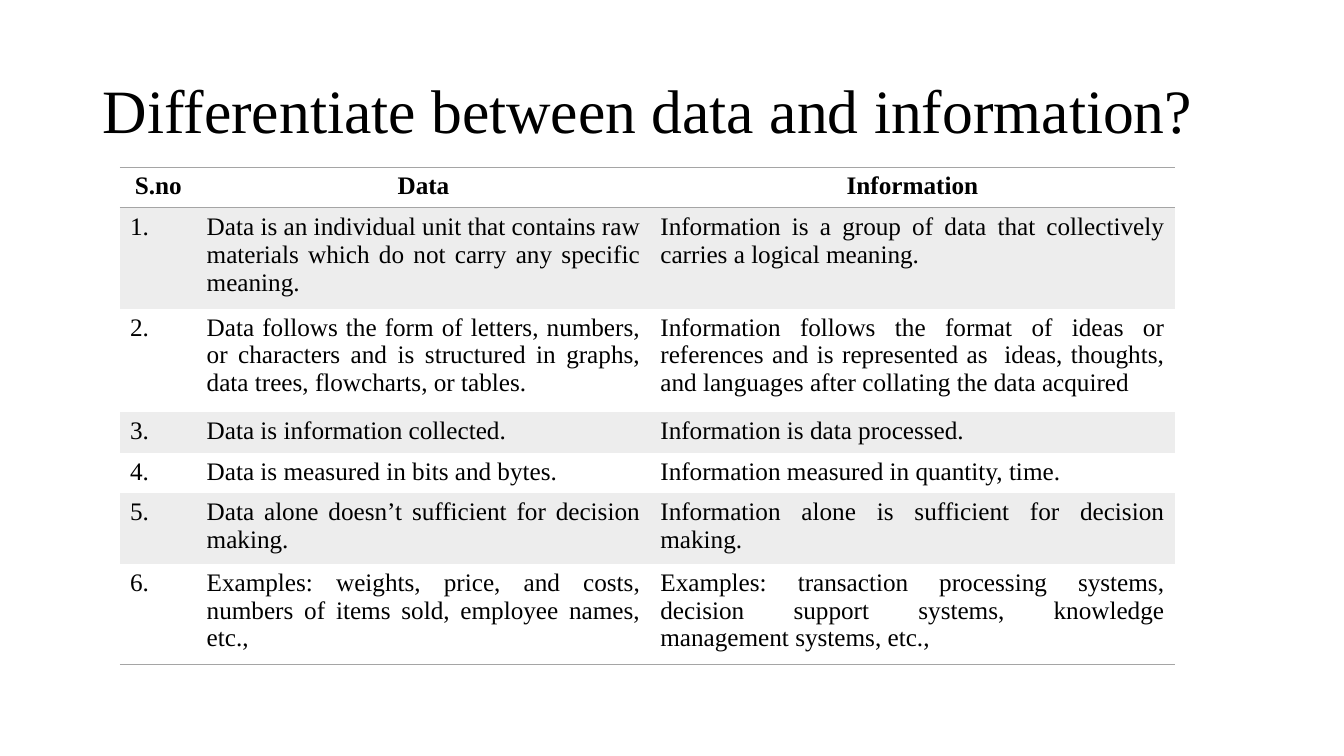
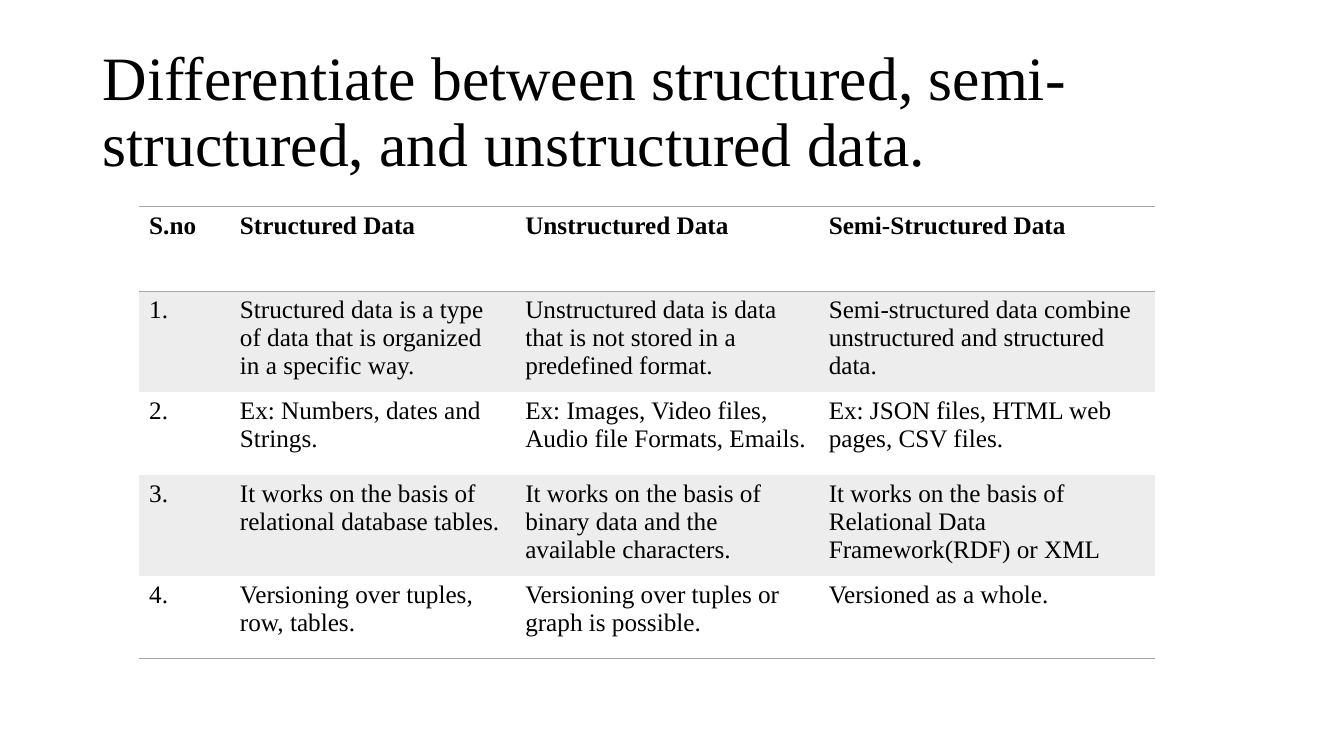
"""Build two comparison slides, each with a title and a ruled table."""
from dataclasses import dataclass

from lxml.etree import SubElement
from pptx import Presentation
from pptx.dml.color import RGBColor
from pptx.enum.text import MSO_ANCHOR as Anchor, PP_ALIGN as Align
from pptx.oxml.ns import qn
from pptx.util import Inches, Pt


@dataclass(frozen=True)
class Theme:
    """Colours, font and sizes shared by the slides."""
    font: str = "Times New Roman"
    ink: str = "000000"
    rule: str = "A5A5A5"
    band: str = "EDEDED"
    title_size: int = 44
    body_size: int = 18
    rule_width: int = 1
    plain_table: str = "{2D5ABB26-0587-4C30-8999-92F81FD0307C}"


THEME = Theme()
TITLE_BOX = (0.92, 0.4, 11.5, 1.45)

DATA_AND_INFORMATION = [
    ("S.no", "Data", "Information"),
    ("1.", "Data is an individual unit that contains raw materials which do not carry any specific meaning.",
     "Information is a group of data that collectively carries a logical meaning."),
    ("2.", "Data follows the form of letters, numbers, or characters and is structured in graphs, "
     "data trees, flowcharts, or tables.",
     "Information follows the format of ideas or references and is represented as  ideas, thoughts, "
     "and languages after collating the data acquired"),
    ("3.", "Data is information collected.", "Information is data processed."),
    ("4.", "Data is measured in bits and bytes.", "Information measured in quantity, time."),
    ("5.", "Data alone doesn’t sufficient for decision making.",
     "Information alone is sufficient for decision making."),
    ("6.", "Examples: weights, price, and costs, numbers of items sold, employee names, etc.,",
     "Examples: transaction processing systems, decision support systems, "
     "knowledge management systems, etc.,"),
]

KINDS_OF_DATA = [
    ("S.no", "Structured Data", "Unstructured Data", "Semi-Structured Data"),
    ("1.", "Structured data is a type of data that is organized in a specific way.",
     "Unstructured data is data that is not stored in a predefined format.",
     "Semi-structured data combine unstructured and structured data."),
    ("2.", "Ex: Numbers, dates and Strings.", "Ex: Images, Video files, Audio file Formats, Emails.",
     "Ex: JSON files, HTML web pages, CSV files."),
    ("3.", "It works on the basis of relational database tables.",
     "It works on the basis of binary data and the available characters.",
     "It works on the basis of Relational Data Framework(RDF) or XML"),
    ("4.", "Versioning over tuples, row, tables.", "Versioning over tuples or graph is possible.",
     "Versioned as a whole."),
]


def add_text(paragraph, text, size, bold=False):
    """Add one run in the theme font and ink."""
    run = paragraph.add_run()
    run.text = text
    run.font.name = THEME.font
    run.font.size = Pt(size)
    run.font.bold = bold
    run.font.color.rgb = RGBColor.from_string(THEME.ink)


def add_title(slide, box, text):
    """Place the title, centred vertically in its box."""
    frame = slide.shapes.add_textbox(*map(Inches, box)).text_frame
    frame.word_wrap = True
    frame.vertical_anchor = Anchor.MIDDLE
    paragraph = frame.paragraphs[0]
    paragraph.line_spacing = 0.9
    add_text(paragraph, text, THEME.title_size)


def add_rule(cell, edge):
    """Draw a rule along one edge of a cell, named lnT or lnB."""
    properties = cell._tc.get_or_add_tcPr()
    line = SubElement(properties, qn(f"a:{edge}"), w=str(Pt(THEME.rule_width)))
    fill = SubElement(line, qn("a:solidFill"))
    SubElement(fill, qn("a:srgbClr"), val=THEME.rule)


def fill_cell(cell, banded):
    """Shade a banded cell and leave any other clear."""
    if banded:
        cell.fill.solid()
        cell.fill.fore_color.rgb = RGBColor.from_string(THEME.band)
    else:
        cell.fill.background()


def add_comparison(slide, origin, widths, heights, rows, header_align, body_align):
    """Place a banded table with rules around its header and at its foot."""
    box = (*origin, sum(widths), sum(heights))
    table = slide.shapes.add_table(len(rows), len(widths), *map(Inches, box)).table
    table._tbl.tblPr.find(qn("a:tableStyleId")).text = THEME.plain_table
    table.first_row = table.horz_banding = False
    for column, width in zip(table.columns, widths):
        column.width = Inches(width)
    for index, (row, height, texts) in enumerate(zip(table.rows, heights, rows)):
        row.height = Inches(height)
        header = index == 0
        for cell, text in zip(row.cells, texts):
            if header:
                add_rule(cell, "lnT")
            if header or index == len(rows) - 1:
                add_rule(cell, "lnB")
            fill_cell(cell, index % 2 == 1)
            paragraph = cell.text_frame.paragraphs[0]
            paragraph.alignment = header_align if header else body_align
            add_text(paragraph, text, THEME.body_size, bold=header)


def add_comparison_slide(presentation, title, **comparison):
    """Add a blank slide with a title and a comparison table."""
    slide = presentation.slides.add_slide(presentation.slide_layouts[6])
    add_title(slide, TITLE_BOX, title)
    add_comparison(slide, **comparison)


def main():
    """Build and save the presentation."""
    presentation = Presentation()
    presentation.slide_width = Inches(13.33)
    presentation.slide_height = Inches(7.5)
    add_comparison_slide(
        presentation, "Differentiate between data and information?",
        origin=(1.19, 1.66), widths=(0.76, 4.5, 5.2), heights=(0.4, 1, 1.03, 0.4, 0.4, 0.7, 1),
        rows=DATA_AND_INFORMATION, header_align=Align.CENTER, body_align=Align.JUSTIFY)
    add_comparison_slide(
        presentation, "Differentiate between structured, semi-structured, and unstructured data.",
        origin=(1.38, 2.05), widths=(0.9, 2.83, 3.01, 3.34), heights=(0.84, *[0.82] * 4),
        rows=KINDS_OF_DATA, header_align=Align.LEFT, body_align=Align.LEFT)
    presentation.save("out.pptx")


main()
